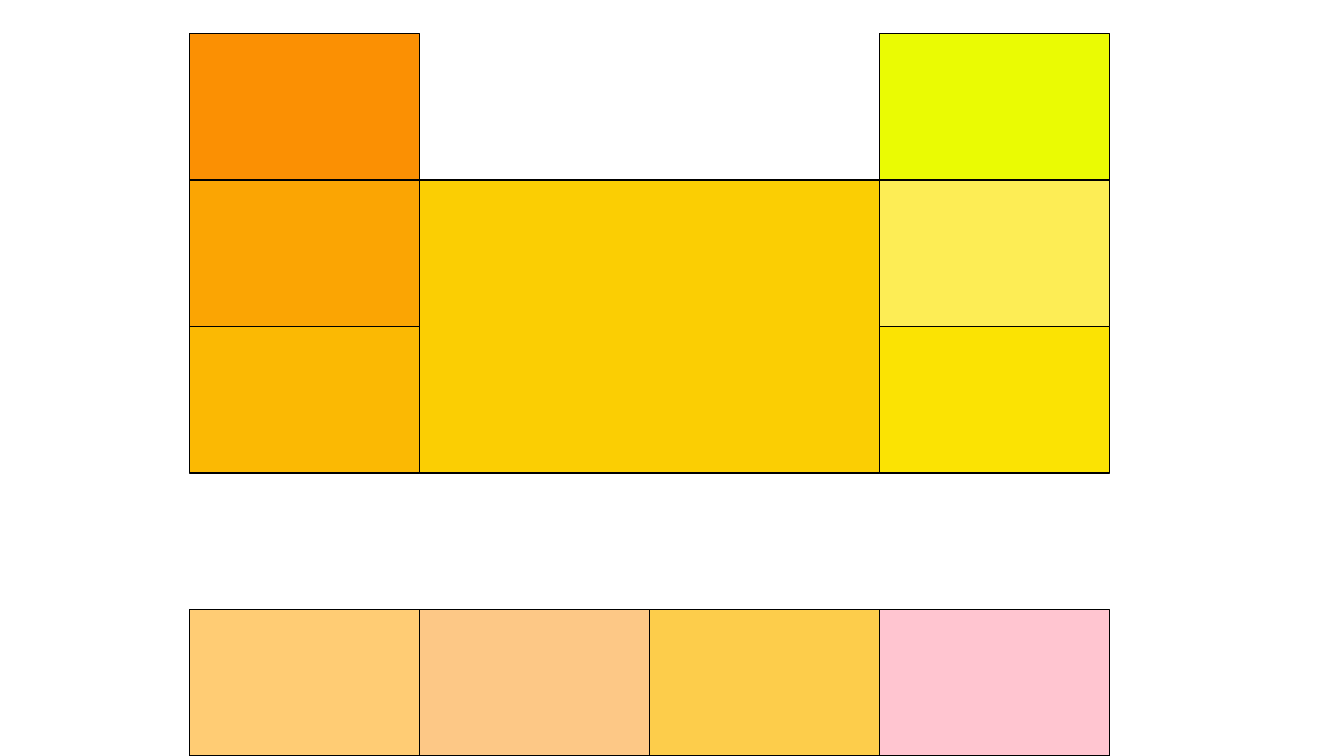
from typing import NamedTuple

from pptx import Presentation
from pptx.dml.color import RGBColor
from pptx.enum import shapes
from pptx.util import Cm, Pt

LEFT = 4.77
UPPER_TOP, LOWER_TOP = 0.85, 15.36
CELL_W, CELL_H = 5.8, 3.69
LINE_FORMAT = {"width": Pt(1)}


class Block(NamedTuple):
    """A coloured rectangle placed by grid column and row."""
    col: int
    row: int
    color: str
    cols: int = 1
    rows: int = 1


UPPER_BLOCKS = [
    Block(1, 1, "FBCE03", cols=2, rows=2),
    Block(0, 1, "FBA503"),
    Block(0, 2, "FBB903"),
    Block(0, 0, "FB9003"),
    Block(3, 0, "EAFB03"),
    Block(3, 2, "FBE303"),
    Block(3, 1, "FDED55"),
]
LOWER_BLOCKS = [
    Block(2, 0, "FDCD4B"),
    Block(0, 0, "FFCC74"),
    Block(1, 0, "FDC886"),
    Block(3, 0, "FFC5D0"),
]


def paint(fill, color: str) -> None:
    """Give a fill one solid colour."""
    fill.solid()
    fill.fore_color.rgb = RGBColor.from_string(color)


def draw_block(s, block: Block, top: float) -> None:
    """Draw a block on the grid that starts at the given top, in cm."""
    sp = s.shapes.add_shape(
        shapes.MSO_SHAPE.RECTANGLE,
        Cm(LEFT + block.col * CELL_W), Cm(top + block.row * CELL_H),
        Cm(block.cols * CELL_W), Cm(block.rows * CELL_H))
    sp.shadow.inherit = False
    paint(sp.fill, block.color)
    paint(sp.line.fill, "000000")
    for name, value in LINE_FORMAT.items():
        setattr(sp.line, name, value)


def main() -> None:
    """Build the slide and save it."""
    prs = Presentation()
    prs.slide_width, prs.slide_height = Cm(33.87), Cm(19.05)
    s = prs.slides.add_slide(prs.slide_layouts[6])
    for top, blocks in ((UPPER_TOP, UPPER_BLOCKS), (LOWER_TOP, LOWER_BLOCKS)):
        for block in blocks:
            draw_block(s, block, top)
    prs.save("out.pptx")


main()
